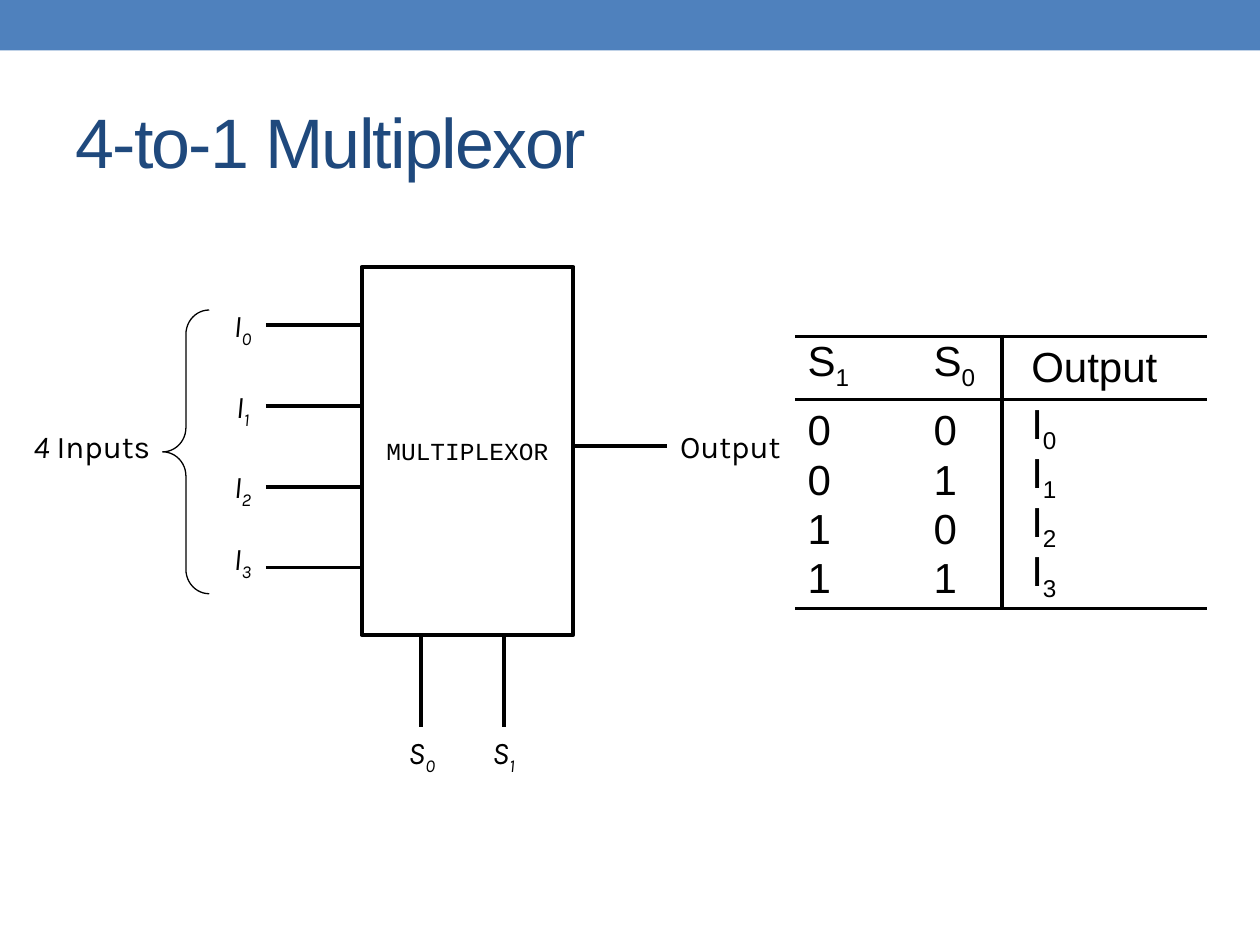
from pptx import Presentation
from pptx.dml.color import RGBColor
from pptx.enum.shapes import MSO_CONNECTOR, MSO_SHAPE
from pptx.enum.text import MSO_ANCHOR, PP_ALIGN
from pptx.oxml.ns import qn
from pptx.util import Cm, Pt
from lxml.etree import SubElement

HUES = {"bar": "4F81BD", "title": "1F497D", "ink": "000000", "paper": "FFFFFF"}
HUES = {name: RGBColor.from_string(code) for name, code in HUES.items()}

deck = Presentation()
deck.slide_width, deck.slide_height = Cm(25.4), Cm(19.05)
slide = deck.slides.add_slide(deck.slide_layouts[6])
shapes = slide.shapes


def write(frame, text, size, font, hue="ink", align=PP_ALIGN.LEFT, slant=False):
    """Fill a frame with one paragraph; what follows "_" is a subscript."""
    frame.word_wrap = True
    para = frame.paragraphs[0]
    para.alignment = align
    for i, part in enumerate(text.split("_")):
        run = para.add_run()
        run.text = part
        run.font.size, run.font.name = Pt(size), font
        run.font.italic = slant
        run.font.color.rgb = HUES[hue]
        if i:
            run.font._element.set("baseline", "-25000")
    return para


def wire(x1, y1, x2, y2):
    line = shapes.add_connector(MSO_CONNECTOR.STRAIGHT, Cm(x1), Cm(y1), Cm(x2), Cm(y2))
    line.line.color.rgb = HUES["ink"]
    line.line.width = Pt(2.25)
    SubElement(line._element.spPr, qn("a:effectLst"))


# Top bar and title
bar = shapes.add_shape(MSO_SHAPE.RECTANGLE, 0, 0, Cm(25.4), Cm(1.02))
bar.shadow.inherit = False
bar.fill.solid()
bar.fill.fore_color.rgb = HUES["bar"]
bar.line.fill.background()

title = shapes.add_textbox(Cm(1.27), Cm(1.47), Cm(22.86), Cm(2.74)).text_frame
title.vertical_anchor = MSO_ANCHOR.MIDDLE
para = write(title, "4-to-1 Multiplexor", 40, "Arial", "title")
para.runs[0].font._element.set("spc", "-100")

# Multiplexor block
block = shapes.add_shape(MSO_SHAPE.RECTANGLE, Cm(7.29), Cm(5.38), Cm(4.27), Cm(7.42))
block.shadow.inherit = False
block.fill.solid()
block.fill.fore_color.rgb = HUES["paper"]
block.line.color.rgb = HUES["ink"]
block.line.width = Pt(2.25)
block.text_frame.vertical_anchor = MSO_ANCHOR.MIDDLE
write(block.text_frame, "MULTIPLEXOR", 14, "Courier New", align=PP_ALIGN.CENTER)

brace = shapes.add_shape(MSO_SHAPE.RIGHT_BRACE, Cm(3.28), Cm(6.25), Cm(0.94), Cm(5.72))
brace.shadow.inherit = False
brace.adjustments[0] = 0.52
brace.fill.background()
brace.line.color.rgb = HUES["ink"]
brace.line.width = Pt(0.75)
brace._element.spPr.xfrm.set("flipH", "1")

# Wires: four inputs, one output, two selectors
for i in range(4):
    y = 6.55 + 1.63 * i
    wire(5.36, y, 7.26, y)
wire(11.53, 8.99, 13.44, 8.99)
for x in (8.48, 10.16):
    wire(x, 12.8, x, 14.66)

# Labels: text, left, top, width, alignment, italic
labels = [
    ("Output", 13.46, 8.48, 3.05, PP_ALIGN.LEFT, False),
    ("4 Inputs", 0.33, 8.48, 2.95, PP_ALIGN.RIGHT, False),
    ("S_0", 7.42, 14.66, 2.16, PP_ALIGN.CENTER, True),
    ("S_1", 9.07, 14.66, 2.16, PP_ALIGN.CENTER, True),
]
for i, y in enumerate((6.05, 7.67, 9.3, 10.74)):
    labels.append((f"I_{i}", 3.81, y, 2.16, PP_ALIGN.CENTER, True))
for text, x, y, width, align, slant in labels:
    box = shapes.add_textbox(Cm(x), Cm(y), Cm(width), Cm(1.02))
    para = write(box.text_frame, text, 18, "Karla", align=align, slant=slant)
    if text == "4 Inputs":
        para.runs[0].text = "4"
        para.runs[0].font.italic = True
        rest = para.add_run()
        rest.text = " Inputs"
        rest.font.size, rest.font.name = Pt(18), "Karla"
        rest.font.color.rgb = HUES["ink"]

# Truth table
rows = [("S_1", "S_0", "Output")]
rows += [(str(i // 2), str(i % 2), f"I_{i}") for i in range(4)]
widths = (2.54, 1.63, 4.14)
heights = (1.27, 1.12, 0.99, 0.99, 1.12)
grid = shapes.add_table(5, 3, Cm(16.03), Cm(6.78), Cm(sum(widths)), Cm(sum(heights))).table
grid.first_row = grid.horz_banding = False
for col, width in zip(grid.columns, widths):
    col.width = Cm(width)
for r, row in enumerate(rows):
    grid.rows[r].height = Cm(heights[r])
    for c, text in enumerate(row):
        cell = grid.cell(r, c)
        cell.margin_left = Cm(0.59 if c == 2 else 0.25)
        cell.margin_right = cell.margin_bottom = 0
        cell.margin_top = Cm(0.13 if r < 2 else 0)
        para = write(cell.text_frame, text, 24, "Arial")
        para.line_spacing = Pt(28)
        props = cell._tc.get_or_add_tcPr()
        edges = {"L": c == 2, "R": c == 1, "T": r < 2, "B": r in (0, 4)}
        for side, drawn in edges.items():
            edge = SubElement(props, qn(f"a:ln{side}"), w=str(Pt(2.25) if drawn else 0))
            if drawn:
                fill = SubElement(edge, qn("a:solidFill"))
                SubElement(fill, qn("a:srgbClr"), val=str(HUES["ink"]))
            else:
                SubElement(edge, qn("a:noFill"))
        cell.fill.background()

deck.save("out.pptx")
